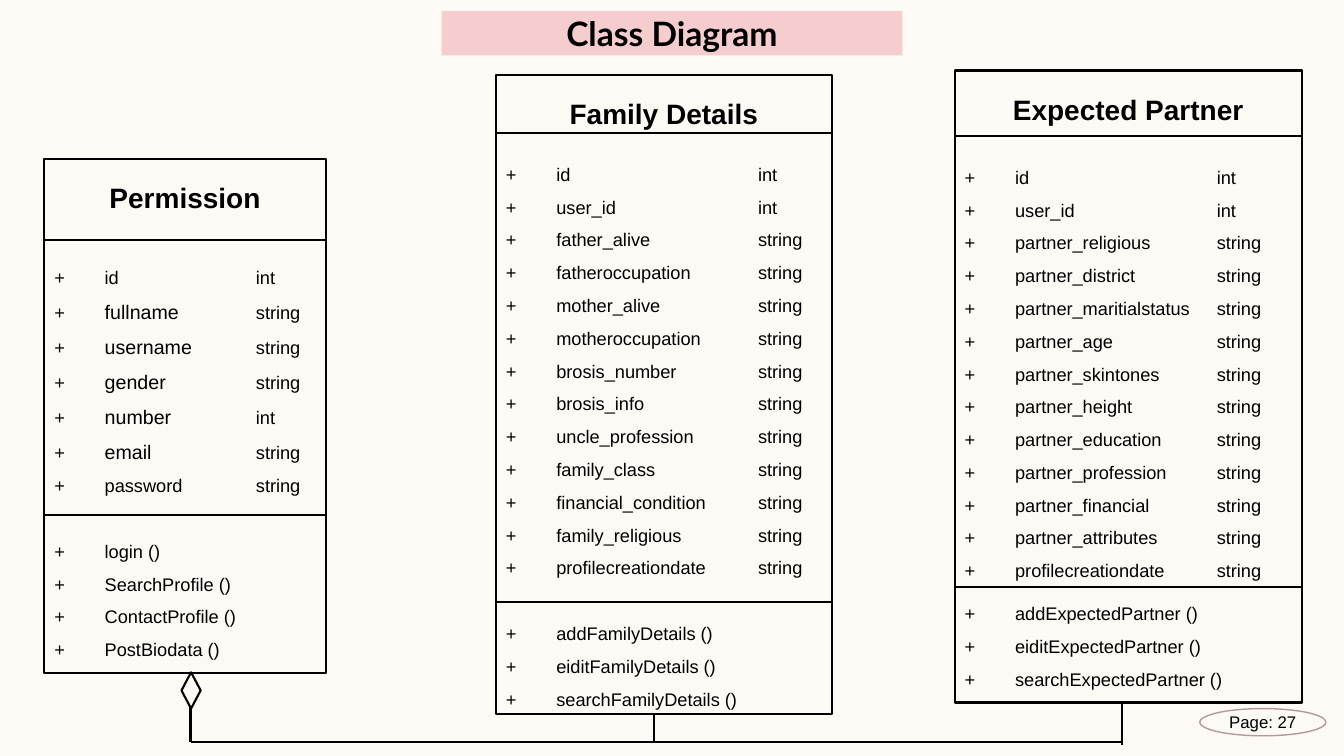
from pptx import Presentation
from pptx.dml.color import RGBColor as RGB
from pptx.enum.shapes import MSO_CONNECTOR as Link, MSO_SHAPE as Form
from pptx.enum.text import MSO_ANCHOR as Anchor, PP_ALIGN as Align
from pptx.oxml.ns import qn
from pptx.util import Inches, Pt
from lxml import etree

COLORS = {"back": "FDFAF6", "ink": "000000", "band": "F5CDCE", "ring": "B59898"}

# name, left, top, width, height, divider heights, type tab,
# gap above attributes, gap above methods, attributes, methods
CLASSES = [
    ("Expected Partner", 9.47, 0.7, 3.44, 6.27, (1.35, 5.82), 2.5, 21, 7.3,
     ["id int", "user_id int", "partner_religious string",
      "partner_district string", "partner_maritialstatus string",
      "partner_age string", "partner_skintones string",
      "partner_height string", "partner_education string",
      "partner_profession string", "partner_financial string",
      "partner_attributes string", "profilecreationdate string"],
     ["addExpectedPartner ()", "eiditExpectedPartner ()",
      "searchExpectedPartner ()"]),
    ("Family Details", 4.92, 0.74, 3.33, 6.34, (1.32, 5.97), 2.5, 16, 23.7,
     ["id int", "user_id int", "father_alive string",
      "fatheroccupation string", "mother_alive string",
      "motheroccupation string", "brosis_number string",
      "brosis_info string", "uncle_profession string",
      "family_class string", "financial_condition string",
      "family_religious string", "profilecreationdate string"],
     ["addFamilyDetails ()", "eiditFamilyDetails ()",
      "searchFamilyDetails ()"]),
    ("Permission", 0.44, 1.58, 2.79, 5.1, (2.38, 5.11), 2, 29, 23.4,
     ["id int", "fullname string", "username string", "gender string",
      "number int", "email string", "password string"],
     ["login ()", "SearchProfile ()", "ContactProfile ()", "PostBiodata ()"]),
]
LARGE = {"fullname", "username", "gender", "number", "email"}

deck = Presentation()
deck.slide_width, deck.slide_height = Inches(13.33), Inches(7.5)
slide = deck.slides.add_slide(deck.slide_layouts[5])
slide.background.fill.solid()
slide.background.fill.fore_color.rgb = RGB.from_string(COLORS["back"])
shapes = slide.shapes


def add_run(para, text, size, bold=False, face="Arial"):
    run = para.add_run()
    run.text = text
    run.font.name, run.font.size, run.font.bold = face, Pt(size), bold
    run.font.color.rgb = RGB.from_string(COLORS["ink"])


def add_form(form, left, top, width, height, color="ink", weight=1.5):
    shape = shapes.add_shape(form, Inches(left), Inches(top),
                             Inches(width), Inches(height))
    shape.shadow.inherit = False
    shape.fill.background()
    shape.line.color.rgb = RGB.from_string(COLORS[color])
    shape.line.width = Pt(weight)
    return shape


# Title band
title = shapes.title
title.left, title.top = Inches(4.38), Inches(0.11)
title.width, title.height = Inches(4.57), Inches(0.44)
title.fill.solid()
title.fill.fore_color.rgb = RGB.from_string(COLORS["band"])
frame = title.text_frame
frame.vertical_anchor = Anchor.MIDDLE
frame.margin_top = frame.margin_bottom = 0
frame.paragraphs[0].alignment = Align.CENTER
add_run(frame.paragraphs[0], "Class Diagram", 24, True, "Lato")

# Links between the classes
lines = [(1.89, 7, 1.89, 7.36), (11.13, 6.98, 11.13, 7.39),
         (11.13, 7.36, 1.89, 7.36), (6.49, 7.08, 6.49, 7.36)]

# Class boxes
for (name, left, top, width, height, splits, stop, gap, break_gap,
     fields, methods) in CLASSES:
    box = add_form(Form.RECTANGLE, left, top, width, height)
    frame = box.text_frame
    frame.word_wrap = True
    frame.vertical_anchor = Anchor.TOP
    head = frame.paragraphs[0]
    head.alignment = Align.CENTER
    head.line_spacing = Pt(36)
    add_run(head, name, 20, True)

    for group, space in ((fields, gap), (methods, break_gap)):
        for index, entry in enumerate(group):
            para = frame.add_paragraph()
            para.alignment = Align.LEFT
            tabs = etree.SubElement(para._p.get_or_add_pPr(), qn("a:tabLst"))
            for spot in (0.5, stop):
                etree.SubElement(tabs, qn("a:tab"), pos=str(Inches(spot)), algn="l")
            para.space_before = Pt(0 if index else space)
            label, kind = entry.split(" ")
            large = label in LARGE
            para.line_spacing = Pt(25.1 if large else 23.4)
            if group is methods:
                add_run(para, "+\t" + entry, 13)
            else:
                add_run(para, "+\t", 13)
                add_run(para, label, 14 if large else 13)
                add_run(para, "\t" + kind, 13)

    lines += [(left, split, left + width, split) for split in splits]

# Dividers and links
for x1, y1, x2, y2 in lines:
    line = shapes.add_connector(Link.STRAIGHT, Inches(x1), Inches(y1),
                                Inches(x2), Inches(y2))
    line.line.color.rgb = RGB.from_string(COLORS["ink"])
    line.line.width = Pt(1.5)
    etree.SubElement(line._element.spPr, qn("a:effectLst"))

# Aggregation diamond
add_form(Form.FLOWCHART_DECISION, 1.8, 6.67, 0.19, 0.36)

# Page mark
page = add_form(Form.OVAL, 11.9, 7.03, 1.25, 0.27, "ring", 1)
frame = page.text_frame
frame.margin_top = frame.margin_bottom = 0
frame.vertical_anchor = Anchor.MIDDLE
frame.paragraphs[0].alignment = Align.CENTER
add_run(frame.paragraphs[0], "Page: 27", 12)

deck.save("out.pptx")
